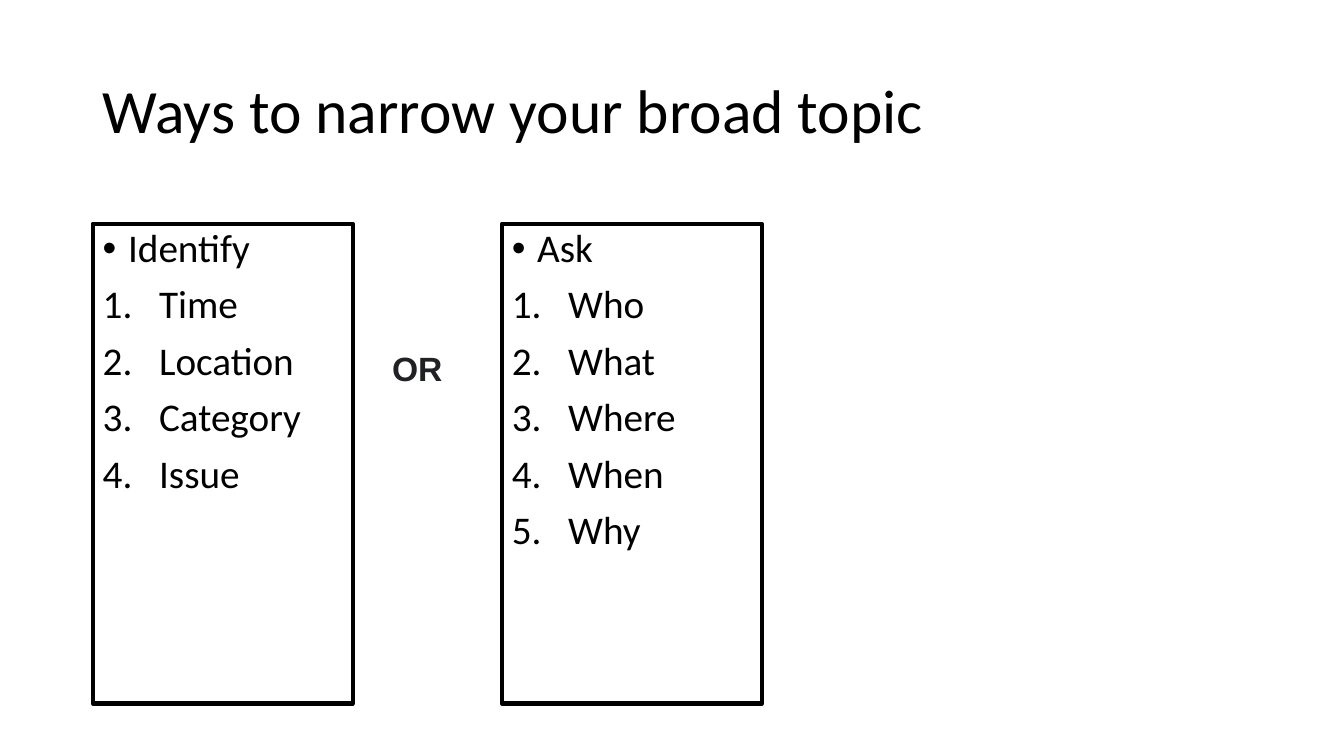
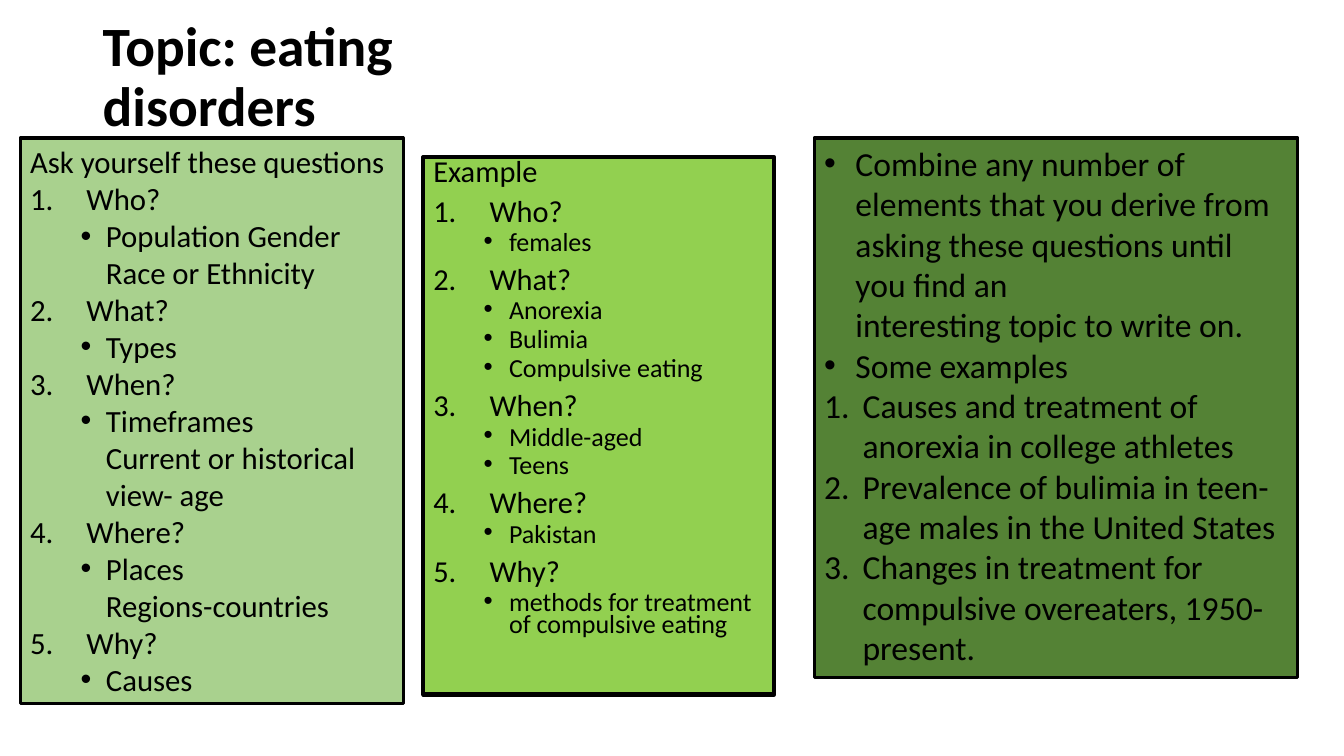
import pptx
import pptx.dml.color
import pptx.enum.shapes
import pptx.enum.text
import pptx.oxml.ns
import pptx.util
from lxml import etree

Cm = pptx.util.Cm
Pt = pptx.util.Pt
ANCHOR = pptx.enum.text.MSO_ANCHOR

COLORS = {
    "ink": "000000",
    "or": "202124",
    "pale": "A9D18E",
    "lime": "92D050",
    "moss": "548235",
}
FONT = "Calibri"
LEFT = 2.34  # shared left edge of titles and lists, in cm
PLAIN, DOT, NUM, SUB = range(4)


def color(name):
    return pptx.dml.color.RGBColor.from_string(COLORS[name])


def style(para, size, bold=False, font=FONT, ink="ink"):
    for run in para.runs:
        run.font.size = Pt(size)
        run.font.bold = bold
        run.font.name = font
        run.font.color.rgb = color(ink)


def mark(para, kind, hang, left):
    """Give the paragraph a hanging bullet or number; lengths in cm."""
    props = para._p.get_or_add_pPr()
    props.set("marL", str(Cm(left)))
    props.set("indent", str(Cm(-hang)))

    def add(tag, **attrs):
        etree.SubElement(props, pptx.oxml.ns.qn(tag), attrs)

    if kind == NUM:
        add("a:buFont", typeface="+mj-lt")
        add("a:buAutoNum", type="arabicPeriod")
    else:
        add("a:buFont", typeface="Arial")
        add("a:buChar", char="•")


def label(slide, box, text, size, anchor=ANCHOR.TOP, **look):
    shape = slide.shapes.add_textbox(*map(Cm, box))
    frame = shape.text_frame
    frame.word_wrap = True
    frame.vertical_anchor = anchor
    frame.text = text
    para = frame.paragraphs[0]
    style(para, size, **look)
    return para


def title(slide, width, height, text, size, bold=False):
    box = (LEFT, 1.02, width, height)
    para = label(slide, box, text, size, ANCHOR.MIDDLE, bold=bold)
    para.line_spacing = 0.9


def panel(slide, box, lines, size, sub=None, fill=None, edge=3,
          space=1.0, gap=0, dot=0.64, num=1.42):
    """Draw a framed list; lines are (kind, text), dot and num are indents."""
    shape = slide.shapes.add_shape(
        pptx.enum.shapes.MSO_SHAPE.RECTANGLE, *map(Cm, box))
    shape.shadow.inherit = False
    shape.line.color.rgb = color("ink")
    shape.line.width = Pt(edge)
    if fill:
        shape.fill.solid()
        shape.fill.fore_color.rgb = color(fill)
    else:
        shape.fill.background()

    frame = shape.text_frame
    frame.word_wrap = True
    frame.vertical_anchor = ANCHOR.TOP
    indents = {DOT: (dot, dot), NUM: (num, num), SUB: (0.64, 1.91)}
    for i, (kind, text) in enumerate(lines):
        para = frame.add_paragraph() if i else frame.paragraphs[0]
        para.text = text
        para.alignment = pptx.enum.text.PP_ALIGN.LEFT
        para.line_spacing = space
        if i:
            para.space_before = Pt(gap / 2 if kind == SUB else gap)
        if kind == SUB:
            para.level = 1
        if kind != PLAIN:
            mark(para, kind, *indents[kind])
        style(para, sub if kind == SUB and sub else size)


def outline(head, groups):
    """List a plain heading, then numbered questions with their answers."""
    lines = [(PLAIN, head)]
    for ask, answers in groups.items():
        lines.append((NUM, ask))
        lines += [(SUB, text) for text in answers]
    return lines


def ways(slide):
    title(slide, 29.21, 3.68, "Ways to narrow your broad topic", 44)
    lists = {
        "Identify": ["Time", "Location", "Category", "Issue"],
        "Ask": ["Who", "What", "Where", "When", "Why"],
    }
    for i, (head, items) in enumerate(lists.items()):
        lines = [(DOT, head)] + [(NUM, item) for item in items]
        panel(slide, (LEFT + i * 10.31, 5.64, 6.55, 12.09), lines, 28,
              space=0.9, gap=10)
    label(slide, (9.63, 8.64, 2.03, 1.27), "OR", 24,
          bold=True, font="Arial", ink="or")


def topic(slide):
    title(slide, 13.26, 1.93, "Topic: eating disorders", 39.6, bold=True)

    asks = outline("Ask yourself these questions", {
        "Who?": ["Population Gender\nRace or Ethnicity"],
        "What?": ["Types"],
        "When?": ["Timeframes\nCurrent or historical view- age"],
        "Where?": ["Places\nRegions-countries"],
        "Why?": ["Causes"],
    })
    panel(slide, (0.51, 3.48, 9.65, 14.25), asks, 22, fill="pale", edge=2.25)

    sample = outline("Example", {
        "Who?": ["females"],
        "What?": ["Anorexia", "Bulimia", "Compulsive eating"],
        "When?": ["Middle-aged", "Teens"],
        "Where?": ["Pakistan"],
        "Why?": ["methods for treatment of compulsive eating"],
    })
    panel(slide, (10.67, 3.96, 8.84, 13.54), sample, 21.7, sub=18.6,
          fill="lime", space=0.7, gap=10)

    blend = [
        (DOT, "Combine any number of elements that you derive from asking "
              "these questions until you find an\n"
              "interesting topic to write on."),
        (DOT, "Some examples"),
        (NUM, "Causes and treatment of anorexia in college athletes"),
        (NUM, "Prevalence of bulimia in teen-age males in the United States"),
        (NUM, "Changes in treatment for compulsive overeaters, "
              "1950-present."),
    ]
    panel(slide, (20.52, 3.48, 12.19, 13.59), blend, 24, fill="moss",
          edge=2.25, dot=0.79, num=0.97)


def main():
    deck = pptx.Presentation()
    deck.slide_width = Cm(33.87)
    deck.slide_height = Cm(19.05)
    for build in (ways, topic):
        build(deck.slides.add_slide(deck.slide_layouts[6]))
    deck.save("out.pptx")


if __name__ == "__main__":
    main()
